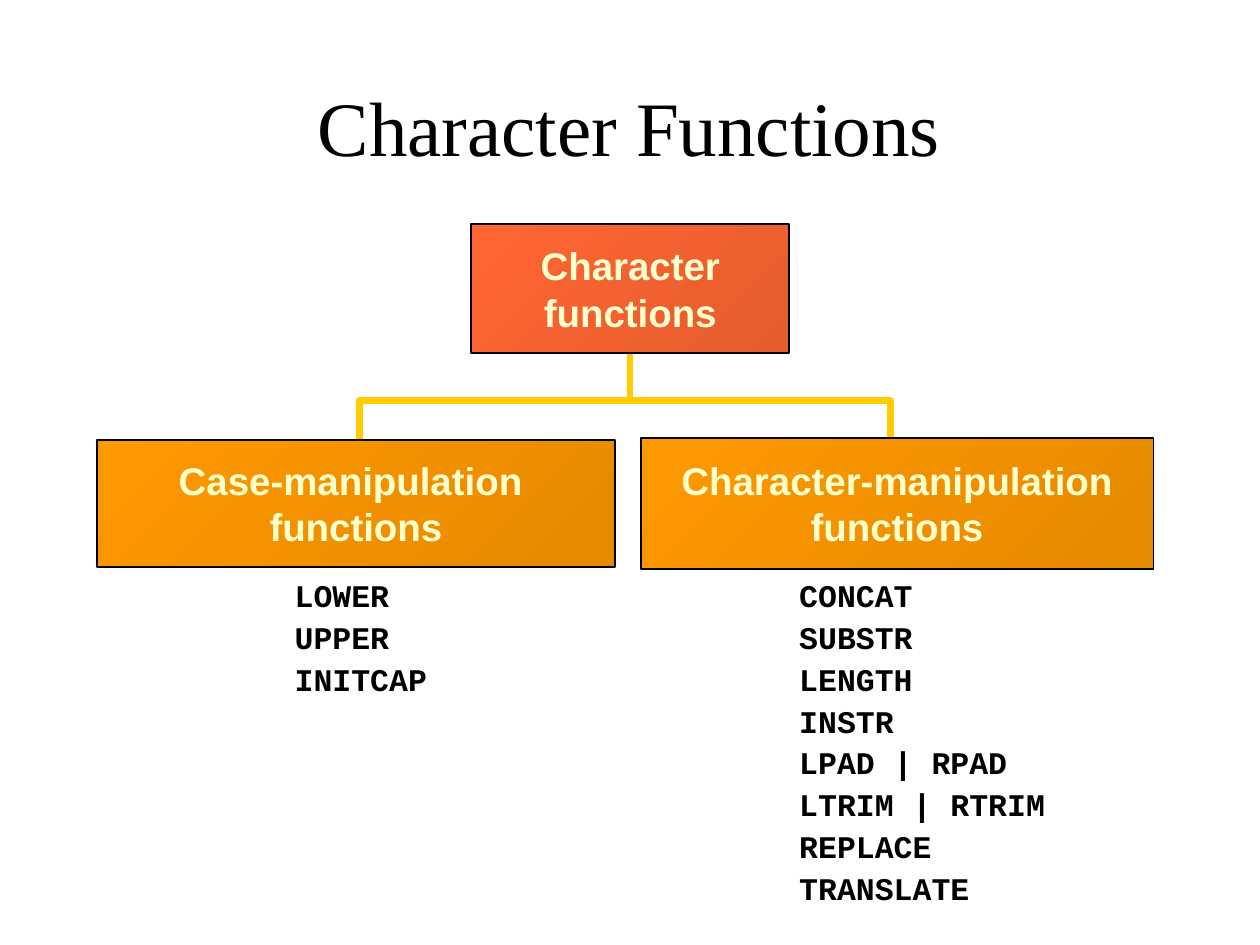
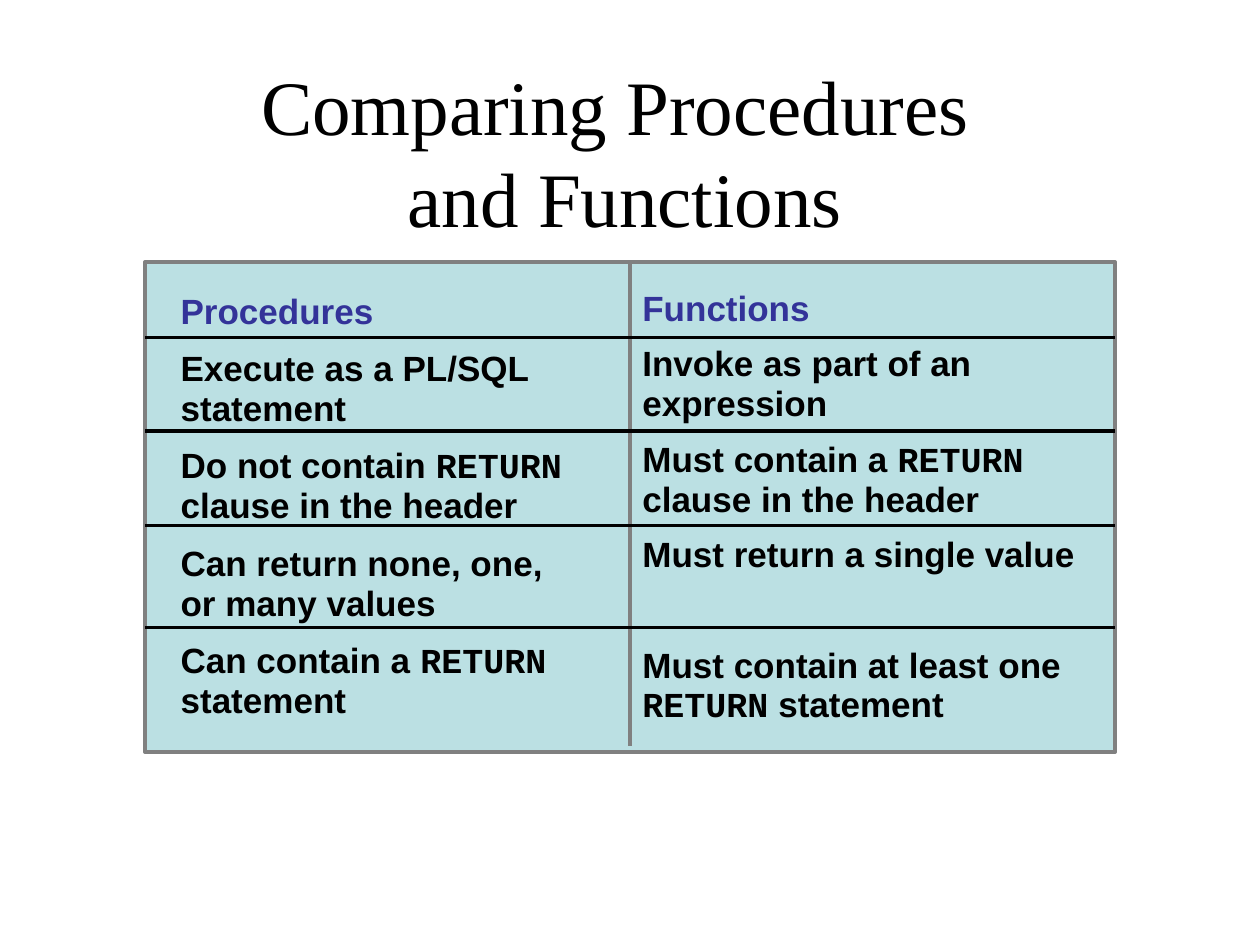
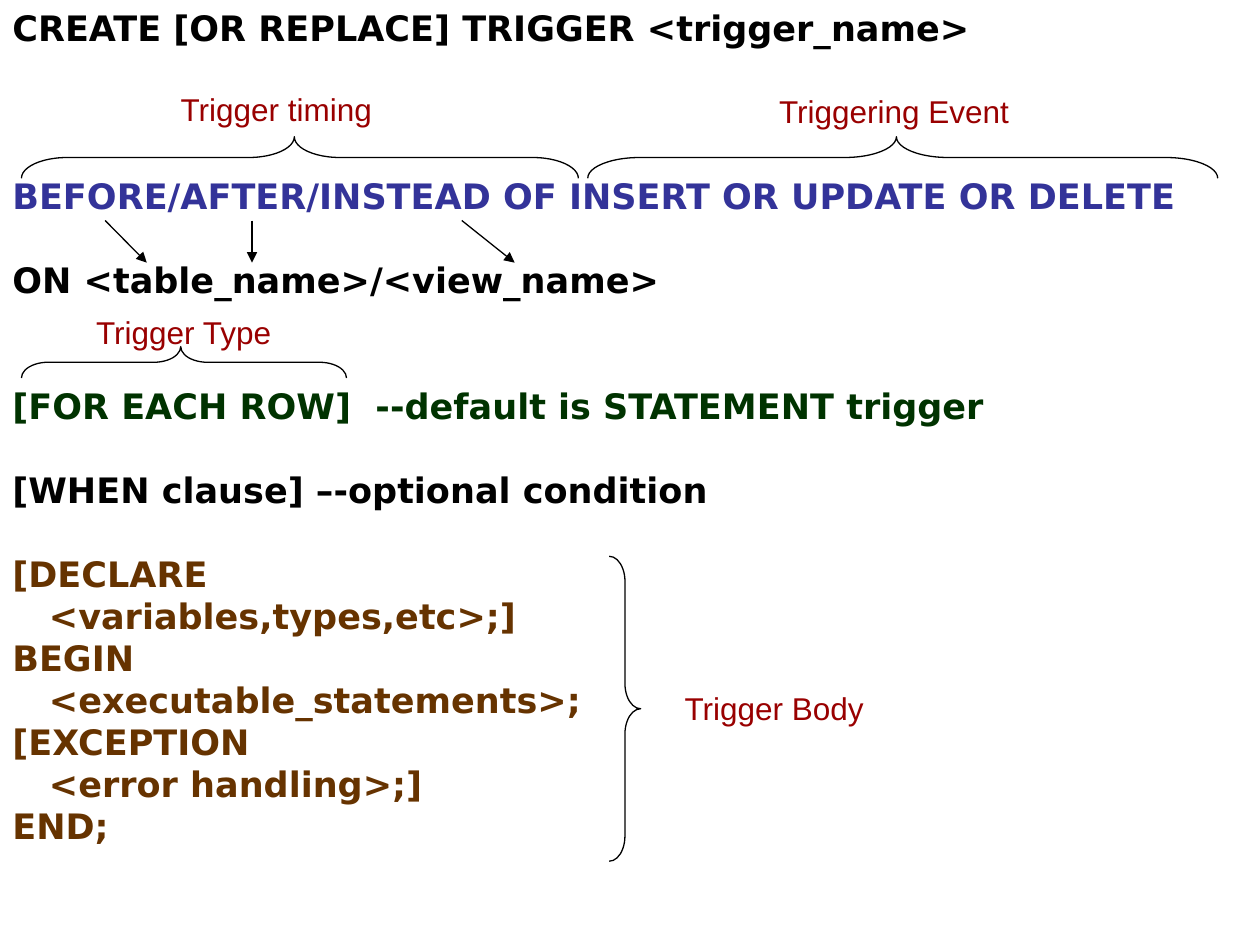
from dataclasses import dataclass, replace
from itertools import accumulate
from typing import NamedTuple

from lxml import etree
from pptx import Presentation
from pptx import util as u
from pptx.dml.color import RGBColor
from pptx.enum import shapes, text
from pptx.oxml.ns import qn

CELL = u.Inches(0.1)  # the slide is a grid of 100 columns by 75 rows
COLS, ROWS = 100, 75
BLACK, GREY, GOLD = "000000", "808080", "FFCC00"
NAVY, GREEN, BROWN, RED = "333399", "003300", "663300", "990000"
CREAM, AQUA = "FFFFCC", "BBE0E3"
AMBER, RUST = ("FF9900", "E58900"), ("FF6633", "E55C2E")
LEFT, MID = text.PP_ALIGN.LEFT, text.PP_ALIGN.CENTER
CENTER = text.MSO_ANCHOR.MIDDLE


@dataclass(frozen=True)
class Style:
    size: float
    font: str
    color: str = BLACK
    bold: bool = False
    align: text.PP_ALIGN = LEFT
    lead: float = 1.0
    gap: float = 0


class Area(NamedTuple):
    x: float
    y: float
    w: float
    h: float


class Line(NamedTuple):
    """One paragraph: its words, colour and the blank lines before it."""
    words: str
    color: str = BLACK
    skip: int = 0


class Node(NamedTuple):
    area: Area
    lines: list[str]
    shades: tuple[str, str]


class Brace(NamedTuple):
    area: Area
    turn: int
    curl: float
    point: float
    label: str
    spot: Area


class Arrow(NamedTuple):
    x1: float
    y1: float
    x2: float
    y2: float


TITLE = Style(44, "Times New Roman", align=MID)
BOX = Style(22, "Arial", CREAM, True, MID)
NAMES = Style(18, "Courier New", bold=True, lead=0.9, gap=4.5)
ENTRY = Style(20, "Arial", bold=True, lead=0.95)
CODE = Style(20, "DejaVu Sans", bold=True)
LABEL = Style(18, "Arial", RED)


def grid(*cells: float) -> list[int]:
    return [round(c * CELL) for c in cells]


def rgb(color: str) -> RGBColor:
    return RGBColor.from_string(color)


def add_run(para, words: str, style: Style) -> None:
    run = para.add_run()
    run.text = words
    font = run.font
    font.size, font.name, font.bold = u.Pt(style.size), style.font, style.bold
    font.color.rgb = rgb(style.color)


def new_para(frame, style: Style, first: bool):
    para = frame.paragraphs[0] if first else frame.add_paragraph()
    para.alignment, para.line_spacing = style.align, style.lead
    para.space_before = u.Pt(0 if first else style.gap)
    return para


def write(frame, lines: list[str], style: Style) -> None:
    for i, words in enumerate(lines):
        add_run(new_para(frame, style, i == 0), words, style)


def text_box(slide, area: Area):
    frame = slide.shapes.add_textbox(*grid(*area)).text_frame
    frame.word_wrap = True
    return frame


def add_title(slide, area: Area, lines: list[str]) -> None:
    para = new_para(text_box(slide, area), TITLE, True)
    for i, words in enumerate(lines):
        if i:
            para.add_line_break()
        add_run(para, words, TITLE)


def add_line(slide, ends: Arrow, color: str, width: float, head: bool = False) -> None:
    link = slide.shapes.add_connector(shapes.MSO_CONNECTOR.STRAIGHT, *grid(*ends))
    link.line.color.rgb, link.line.width = rgb(color), u.Pt(width)
    if head:
        etree.SubElement(link.line._get_or_add_ln(), qn("a:tailEnd"), type="triangle")
    etree.SubElement(link._element.spPr, qn("a:effectLst"))


def add_shape(slide, kind, area: Area, color: str, width: float):
    shape = slide.shapes.add_shape(kind, *grid(*area))
    shape.shadow.inherit = False
    shape.line.color.rgb, shape.line.width = rgb(color), u.Pt(width)
    return shape


def add_node(slide, node: Node) -> None:
    box = add_shape(slide, shapes.MSO_SHAPE.RECTANGLE, node.area, BLACK, 1)
    box.fill.gradient()
    box.fill.gradient_angle = 315
    for stop, color, spot in zip(box.fill.gradient_stops, node.shades, (0, 1)):
        stop.color.rgb, stop.position = rgb(color), spot
    frame = box.text_frame
    frame.word_wrap, frame.vertical_anchor = False, CENTER
    write(frame, node.lines, BOX)


def add_fork(slide, points: list[tuple[float, float]]) -> None:
    """Draw the open bracket that joins the lower boxes."""
    start, *rest = [grid(*point) for point in points]
    build = slide.shapes.build_freeform(*start)
    build.add_line_segments(rest, close=False)
    fork = build.convert_to_shape()
    fork.shadow.inherit = False
    fork.fill.background()
    fork.line.color.rgb, fork.line.width = rgb(GOLD), u.Pt(4)
    etree.SubElement(fork.line._get_or_add_ln(), qn("a:round"))


def add_brace(slide, brace: Brace) -> None:
    curve = add_shape(slide, shapes.MSO_SHAPE.RIGHT_BRACE, brace.area, BLACK, 0.75)
    curve.rotation = brace.turn
    curve.adjustments[0], curve.adjustments[1] = brace.curl, brace.point
    curve.fill.background()
    write(text_box(slide, brace.spot), [brace.label], LABEL)


def add_list(slide, area: Area, lines: list[Line], style: Style) -> None:
    """Write lines one below the other, with the keyword RETURN set as code."""
    frame = text_box(slide, area)
    pitch = style.size * 1.2 * style.lead + style.gap
    for i, line in enumerate(lines):
        look = replace(style, color=line.color, gap=style.gap + line.skip * pitch)
        para = new_para(frame, look, i == 0)
        lead, key, tail = line.words.partition("RETURN")
        for part, font in ((lead, look.font), (key, "Courier New"), (tail, look.font)):
            if part:
                add_run(para, part, replace(look, font=font))


def chart_slide(slide) -> None:
    add_title(slide, Area(9.45, 5.8, 81, 9.6), ["Character Functions"])
    for area, names in (
        (Area(22.4, 45.55, 14, 10.4), ["LOWER", "UPPER", "INITCAP"]),
        (Area(62.45, 45.55, 23.4, 27), ["CONCAT", "SUBSTR", "LENGTH", "INSTR", "LPAD | RPAD",
                                        "LTRIM | RTRIM", "REPLACE", "TRANSLATE"]),
    ):
        write(text_box(slide, area), names, NAMES)
    add_line(slide, Arrow(50, 31.6, 50, 28.1), GOLD, 4)
    add_fork(slide, [(28.55, 37.3), (28.55, 31.8), (70.65, 31.8), (70.65, 37.7)])
    for node in (
        Node(Area(37.4, 17.8, 25.25, 10.2), ["Character", "functions"], RUST),
        Node(Area(7.7, 34.9, 41.1, 10.1), ["Case-manipulation ", "functions"], AMBER),
        Node(Area(50.85, 34.75, 40.7, 10.4), ["Character-manipulation", "functions"], AMBER),
    ):
        add_node(slide, node)


def panel_slide(slide) -> None:
    heights = [6, 7.4, 7.5, 8.1, 9.9]
    area = Area(11.5, 20.8, 77, sum(heights))
    panel = add_shape(slide, shapes.MSO_SHAPE.RECTANGLE, area, GREY, 2)
    panel.fill.solid()
    panel.fill.fore_color.rgb = rgb(AQUA)
    middle = area.x + area.w / 2
    add_line(slide, Arrow(middle, area.y, middle, 59.2), GREY, 2)
    for drop in accumulate(heights[:-1]):
        y = area.y + drop
        add_line(slide, Arrow(area.x, y, area.x + area.w, y), BLACK, 2)

    add_list(slide, Area(13.35, 22.7, 32.8, 35.1), [
        Line("Procedures", NAVY),
        Line("Execute as a PL/SQL statement"),
        Line("Do not contain RETURN clause in the header"),
        Line("Can return none, one, or many values"),
        Line("Can contain a RETURN statement"),
    ], replace(ENTRY, gap=10))
    add_list(slide, Area(50, 22.5, 38.3, 35.6), [
        Line("Functions", NAVY),
        Line("Invoke as part of an expression"),
        Line("Must contain a RETURN clause in the header"),
        Line("Must return a single value"),
        Line("Must contain at least one RETURN statement", skip=1),
    ], replace(ENTRY, gap=8.8))
    add_title(slide, Area(7.5, 4.15, 84.2, 26.8), ["Comparing Procedures ", "and Functions"])


def code_slide(slide) -> None:
    add_list(slide, Area(0, 0, COLS, 67.7), [
        Line("CREATE [OR REPLACE] TRIGGER <trigger_name>"),
        Line("BEFORE/AFTER/INSTEAD OF INSERT OR UPDATE OR DELETE", NAVY, 3),
        Line("ON <table_name>/<view_name>", skip=1),
        Line("[FOR EACH ROW]  --default is STATEMENT trigger", GREEN, 2),
        Line("[WHEN clause] –-optional condition", skip=1),
        Line("[DECLARE", BROWN, 1),
        Line("   <variables,types,etc>;]", BROWN),
        Line("BEGIN", BROWN),
        Line("   <executable_statements>;", BROWN),
        Line("[EXCEPTION", BROWN),
        Line("   <error handling>;]", BROWN),
        Line("END;", BROWN),
    ], CODE)
    for brace in (
        Brace(Area(22.15, -9.6, 3.3, 44.2), 270, 1.1, 0.49,
              "Trigger timing", Area(13.35, 6.65, 18.3, 4)),
        Brace(Area(70, -12.5, 3.3, 50), 270, 1.25, 0.49,
              "Triggering Event", Area(60.85, 6.8, 22.5, 4)),
        Brace(Area(13.35, 15.85, 2.5, 25.8), 270, 0.85, 0.49,
              "Trigger Type", Area(6.65, 24.35, 18.3, 4)),
        Brace(Area(48.35, 44.15, 2.5, 24.2), 0, 0.8, 0.5,
              "Trigger Body", Area(53.35, 54.2, 18.3, 4)),
    ):
        add_brace(slide, brace)
    for start, end in ((8.35, 11.65), (20, 20), (36.65, 40.85)):
        add_line(slide, Arrow(start, 17.5, end, 20.85), BLACK, 0.75, head=True)


def main() -> None:
    deck = Presentation()
    deck.slide_width, deck.slide_height = grid(COLS, ROWS)
    for draw in (chart_slide, panel_slide, code_slide):
        draw(deck.slides.add_slide(deck.slide_layouts[6]))
    deck.save("out.pptx")


if __name__ == "__main__":
    main()
